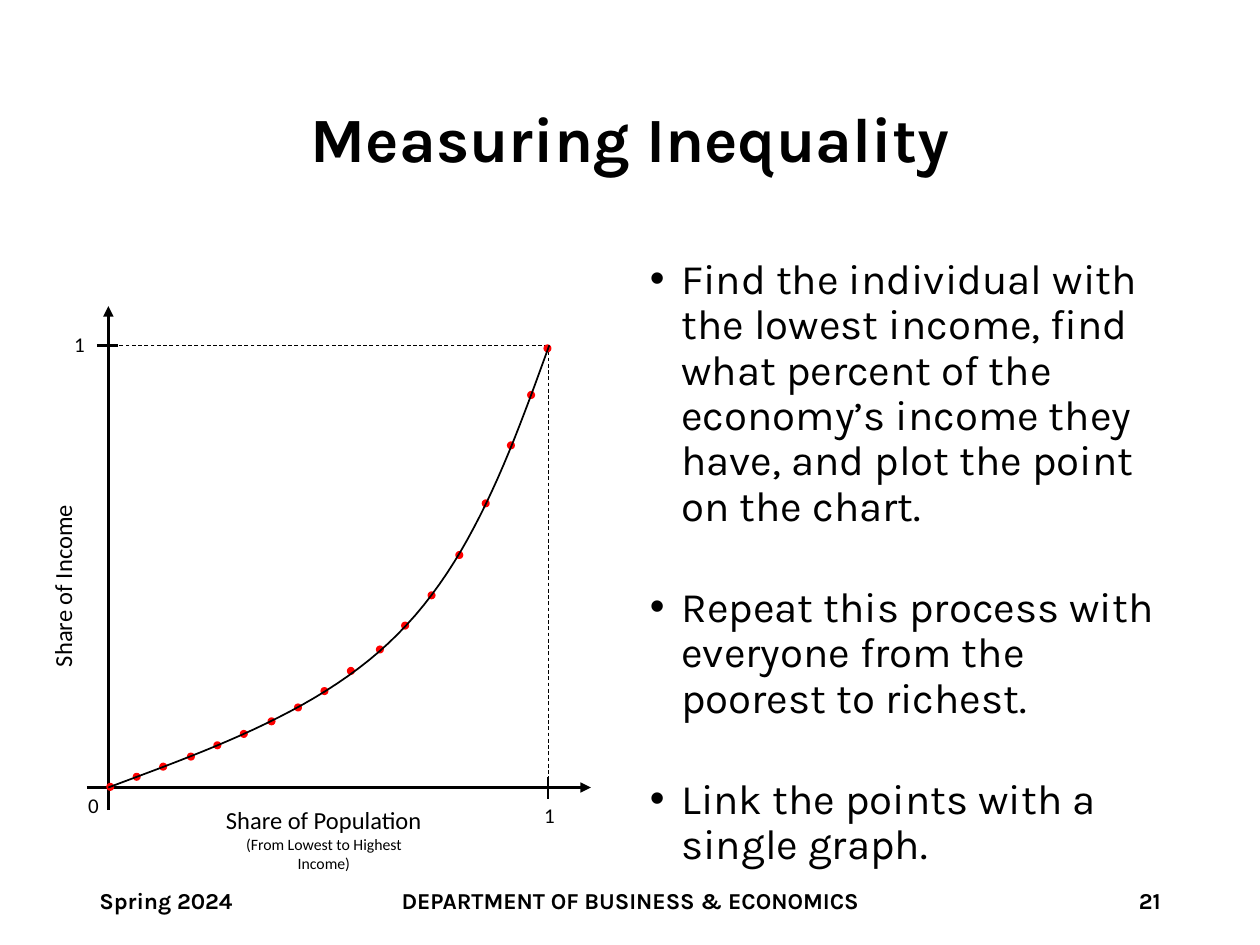
"""Build the Measuring Inequality slide with its Lorenz curve."""
from dataclasses import dataclass

from lxml import etree
from pptx import Presentation
from pptx import util as u
from pptx.dml.color import RGBColor
from pptx.enum import dml, shapes, text
from pptx.oxml import ns

HUES = {"ink": "000000", "dot": "FF0000"}
LEFT, MID, RIGHT = text.PP_ALIGN.LEFT, text.PP_ALIGN.CENTER, text.PP_ALIGN.RIGHT
ROUND = 0.05


@dataclass
class Label:
    box: tuple[float, float, float, float]
    lines: tuple[str, ...]
    sizes: tuple[float, ...]
    face: str = "Calibri"
    bold: bool = False
    align: text.PP_ALIGN = LEFT
    middle: bool = False
    turn: str = "horz"


@dataclass
class Rule:
    start: tuple[float, float]
    end: tuple[float, float]
    width: float = 1.5
    arrow: bool = False
    dash: bool = False


def foot(left: float, width: float, words: str, align: text.PP_ALIGN) -> Label:
    return Label((left, 6.95, width, 0.4), (words,), (13,), "Karla", True, align, True)


def mark(left: float, top: float, words: str) -> Label:
    return Label((left, top, 0.31, 0.3), (words,), (12,))


LABELS = [
    foot(0.69, 2.25, "Spring 2024", LEFT),
    foot(1.85, 6.3, "DEPARTMENT OF BUSINESS & ECONOMICS", MID),
    foot(7.06, 2.25, "21", RIGHT),
    Label((0.33, 3.74, 0.44, 1.82), ("Share of Income",), (14,), align=MID, turn="vert270"),
    Label((1.66, 6.34, 1.82, 0.59),
          ("Share of Population", "(From Lowest to Highest Income)"), (14, 9), align=MID),
    mark(0.6, 6.24, "0"),
    mark(0.49, 2.58, "1"),
    mark(4.22, 6.32, "1"),
]
RULES = [
    Rule((0.86, 6.43), (0.86, 2.43), arrow=True),
    Rule((0.69, 6.25), (4.69, 6.25), arrow=True),
    Rule((4.35, 2.74), (0.85, 2.74), 0.5, dash=True),
    Rule((4.35, 2.74), (4.35, 6.25), 0.5, dash=True),
    Rule((4.35, 6.17), (4.35, 6.34)),
    Rule((0.77, 2.74), (0.94, 2.74)),
]
DOTS = [
    (0.85, 6.22), (1.06, 6.14), (1.27, 6.06), (1.49, 5.98), (1.7, 5.89), (1.91, 5.8),
    (2.13, 5.7), (2.34, 5.59), (2.55, 5.46), (2.76, 5.3), (2.99, 5.13), (3.19, 4.94),
    (3.4, 4.7), (3.62, 4.38), (3.83, 3.97), (4.03, 3.51), (4.19, 3.11), (4.32, 2.74),
]
CURVES = [
    ((0.86, 6.25), (1.72, 5.93), (2.58, 5.62), (3.16, 5.03)),
    ((3.16, 5.03), (3.74, 4.45), (4.05, 3.6), (4.36, 2.74)),
]
STEPS = [
    "Find the individual with the lowest income, find what percent of the "
    "economy’s income they have, and plot the point on the chart.",
    "Repeat this process with everyone from the poorest to richest.",
    "Link the points with a single graph.",
]


def hue(name: str) -> RGBColor:
    return RGBColor.from_string(HUES[name])


def style(para, size: float, face: str, bold: bool, align: text.PP_ALIGN) -> None:
    para.alignment = align
    for run in para.runs:
        run.font.size, run.font.name, run.font.bold = u.Pt(size), face, bold
        run.font.color.rgb = hue("ink")


def place(shape, box: tuple[float, float, float, float]) -> None:
    shape.left, shape.top, shape.width, shape.height = map(u.Inches, box)


def draw_title(slide, words: str) -> None:
    title = slide.shapes.title
    place(title, (0.69, 0.4, 8.62, 1.45))
    frame = title.text_frame
    frame.text = words
    frame.vertical_anchor = text.MSO_ANCHOR.MIDDLE
    frame.paragraphs[0].line_spacing = 0.9
    style(frame.paragraphs[0], 36, "Karla", True, MID)


def draw_steps(slide, steps: list[str]) -> None:
    frame = slide.shapes.add_textbox(*map(u.Inches, (5.06, 2, 4.25, 4.76))).text_frame
    frame.word_wrap = True
    frame.text = "\n".join(steps)
    for rank, para in enumerate(frame.paragraphs):
        props = para._p.get_or_add_pPr()
        props.set("marL", str(u.Inches(0.25)))
        props.set("indent", str(-u.Inches(0.25)))
        etree.SubElement(props, ns.qn("a:buFont")).set("typeface", "Arial")
        etree.SubElement(props, ns.qn("a:buChar")).set("char", "•")
        para.line_spacing = 0.9
        para.space_before = u.Pt(32 if rank else 0)
        style(para, 24, "Karla", False, LEFT)


def draw_label(slide, label: Label) -> None:
    frame = slide.shapes.add_textbox(*map(u.Inches, label.box)).text_frame
    frame.word_wrap = True
    frame.text = "\n".join(label.lines)
    if label.middle:
        frame.vertical_anchor = text.MSO_ANCHOR.MIDDLE
    frame._txBody.bodyPr.set("vert", label.turn)
    for para, size in zip(frame.paragraphs, label.sizes):
        style(para, size, label.face, label.bold, label.align)


def draw_rule(slide, rule: Rule) -> None:
    ends = map(u.Inches, rule.start + rule.end)
    line = slide.shapes.add_connector(shapes.MSO_CONNECTOR.STRAIGHT, *ends)
    line.line.color.rgb = hue("ink")
    line.line.width = u.Pt(rule.width)
    if rule.dash:
        line.line.dash_style = dml.MSO_LINE.DASH
    if rule.arrow:
        etree.SubElement(line.line._ln, ns.qn("a:tailEnd")).set("type", "triangle")
    etree.SubElement(line._element.spPr, ns.qn("a:effectLst"))


def draw_dot(slide, left: float, top: float) -> None:
    box = map(u.Inches, (left, top, ROUND, ROUND))
    dot = slide.shapes.add_shape(shapes.MSO_SHAPE.OVAL, *box)
    dot.shadow.inherit = False
    dot.fill.solid()
    dot.fill.fore_color.rgb = dot.line.color.rgb = hue("dot")
    dot.line.width = u.Pt(1)


def bezier(curve: tuple, part: float) -> tuple[int, int]:
    rest = 1 - part
    loads = (rest ** 3, 3 * rest ** 2 * part, 3 * rest * part ** 2, part ** 3)
    return tuple(u.Inches(sum(load * spot[axis] for load, spot in zip(loads, curve)))
                 for axis in (0, 1))


def draw_curve(slide, curves: list[tuple], count: int = 24) -> None:
    spots = [bezier(curve, step / count) for curve in curves for step in range(1, count + 1)]
    pen = slide.shapes.build_freeform(*bezier(curves[0], 0))
    pen.add_line_segments(spots, close=False)
    shape = pen.convert_to_shape()
    shape.shadow.inherit = False
    shape.fill.background()
    shape.line.color.rgb = hue("ink")
    shape.line.width = u.Pt(1)


def main() -> None:
    deck = Presentation()
    deck.slide_width, deck.slide_height = u.Inches(10), u.Inches(7.5)
    slide = deck.slides.add_slide(deck.slide_layouts[5])
    draw_title(slide, "Measuring Inequality")
    draw_steps(slide, STEPS)
    for rule in RULES:
        draw_rule(slide, rule)
    for label in LABELS:
        draw_label(slide, label)
    for dot in DOTS:
        draw_dot(slide, *dot)
    draw_curve(slide, CURVES)
    deck.save("out.pptx")


if __name__ == "__main__":
    main()
